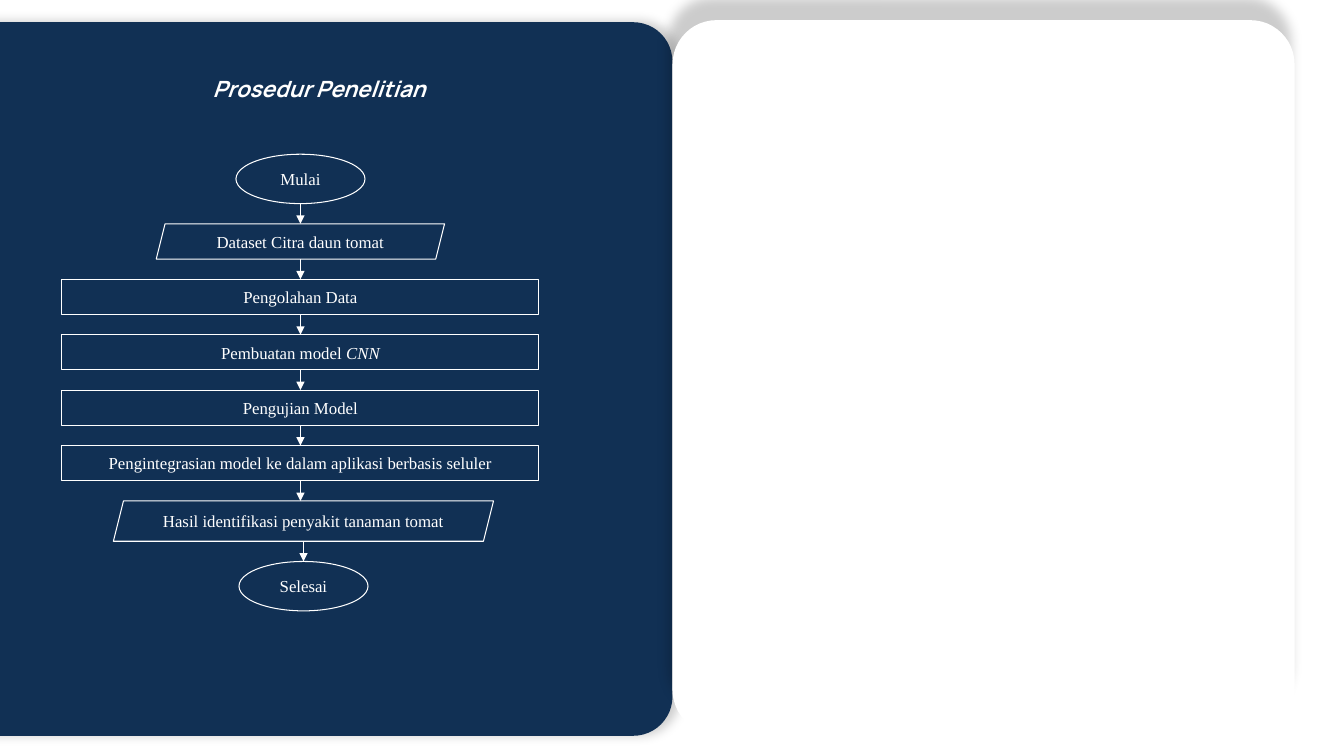
from dataclasses import dataclass
from itertools import pairwise

from lxml.etree import SubElement
from pptx import Presentation
from pptx.dml.color import RGBColor
from pptx.enum.shapes import MSO_CONNECTOR, MSO_SHAPE
from pptx.enum.text import MSO_ANCHOR, PP_ALIGN
from pptx.oxml.ns import qn
from pptx.shapes.autoshape import Shape
from pptx.shapes.connector import Connector
from pptx.slide import Slide
from pptx.text.text import TextFrame
from pptx.util import Inches, Pt

NAVY = "113054"
WHITE = "FFFFFF"
FLOW_TOP = 1.53
FLOW_GAP = 0.2
FLOW_CENTER = 2.98
END_CENTER = 3.01
TOP_SITE, BOTTOM_SITE = 0, 2


@dataclass(frozen=True)
class Panel:
    left: float
    top: float
    width: float
    height: float
    corner: float
    fill: str
    shadow_distance: float
    shadow_angle: float


@dataclass(frozen=True)
class Step:
    kind: MSO_SHAPE
    width: float
    height: float
    text: str
    italic_text: str = ""
    center: float = FLOW_CENTER


PANELS = [
    Panel(-0.5, 0.22, 7.17, 7.08, 0.055, NAVY, 5, 0),
    Panel(6.67, 0.2, 6.17, 7.08, 0.071, WHITE, 16, 260),
]

STEPS = [
    Step(MSO_SHAPE.OVAL, 1.28, 0.49, "Mulai"),
    Step(MSO_SHAPE.PARALLELOGRAM, 2.86, 0.35, "Dataset Citra daun tomat"),
    Step(MSO_SHAPE.RECTANGLE, 4.73, 0.35, "Pengolahan Data"),
    Step(MSO_SHAPE.RECTANGLE, 4.73, 0.35, "Pembuatan model ", "CNN"),
    Step(MSO_SHAPE.RECTANGLE, 4.73, 0.35, "Pengujian Model"),
    Step(MSO_SHAPE.RECTANGLE, 4.73, 0.35,
         "Pengintegrasian model ke dalam aplikasi berbasis seluler"),
    Step(MSO_SHAPE.PARALLELOGRAM, 3.77, 0.4,
         "Hasil identifikasi penyakit tanaman tomat", center=END_CENTER),
    Step(MSO_SHAPE.OVAL, 1.28, 0.49, "Selesai", center=END_CENTER),
]


def color(value: str) -> RGBColor:
    return RGBColor.from_string(value)


def add_run(frame: TextFrame, text: str, font: str, size: float,
            bold: bool = False, italic: bool = False) -> None:
    """Append a white run to the first, centred paragraph."""
    paragraph = frame.paragraphs[0]
    paragraph.alignment = PP_ALIGN.CENTER
    run = paragraph.add_run()
    run.text = text
    run.font.name = font
    run.font.size = Pt(size)
    run.font.bold = bold
    run.font.italic = italic
    run.font.color.rgb = color(WHITE)


def add_panel(slide: Slide, panel: Panel) -> None:
    shape = slide.shapes.add_shape(
        MSO_SHAPE.ROUNDED_RECTANGLE, Inches(panel.left), Inches(panel.top),
        Inches(panel.width), Inches(panel.height))
    shape.adjustments[0] = panel.corner
    shape.fill.solid()
    shape.fill.fore_color.rgb = color(panel.fill)
    shape.line.fill.background()
    shape.shadow.inherit = False
    effects = shape.element.spPr.find(qn("a:effectLst"))
    shadow = SubElement(
        effects, qn("a:outerShdw"), blurRad=str(Pt(8)),
        dist=str(Pt(panel.shadow_distance)),
        dir=str(round(panel.shadow_angle * 60000)), rotWithShape="0")
    tint = SubElement(shadow, qn("a:srgbClr"), val="000000")
    SubElement(tint, qn("a:alpha"), val="20000")


def add_title(slide: Slide) -> None:
    box = slide.shapes.add_textbox(
        Inches(1.91), Inches(0.7), Inches(2.51), Inches(0.37))
    box.text_frame.word_wrap = False
    add_run(box.text_frame, "Prosedur Penelitian", "Manrope", 16,
            bold=True, italic=True)


def add_step(slide: Slide, step: Step, top: float) -> Shape:
    shape = slide.shapes.add_shape(
        step.kind, Inches(step.center - step.width / 2), Inches(top),
        Inches(step.width), Inches(step.height))
    shape.shadow.inherit = False
    shape.fill.background()
    shape.line.color.rgb = color(WHITE)
    shape.line.width = Pt(0.75)
    frame = shape.text_frame
    frame.word_wrap = True
    frame.vertical_anchor = MSO_ANCHOR.MIDDLE
    add_run(frame, step.text, "Times New Roman", 12)
    if step.italic_text:
        add_run(frame, step.italic_text, "Times New Roman", 12, italic=True)
    return shape


def add_arrow(slide: Slide, upper: Shape, lower: Shape) -> Connector:
    """Point straight down from one step to the next."""
    x = upper.left + upper.width // 2
    arrow = slide.shapes.add_connector(
        MSO_CONNECTOR.STRAIGHT, x, upper.top + upper.height, x, lower.top)
    if upper.auto_shape_type == MSO_SHAPE.RECTANGLE:
        arrow.begin_connect(upper, BOTTOM_SITE)
    if lower.auto_shape_type == MSO_SHAPE.RECTANGLE:
        arrow.end_connect(lower, TOP_SITE)
    arrow.line.color.rgb = color(WHITE)
    arrow.line.width = Pt(0.5)
    properties = arrow.element.spPr
    SubElement(properties.find(qn("a:ln")), qn("a:tailEnd"), type="triangle")
    SubElement(properties, qn("a:effectLst"))
    return arrow


def add_flowchart(slide: Slide) -> None:
    shapes = []
    top = FLOW_TOP
    for step in STEPS:
        shapes.append(add_step(slide, step, top))
        top += step.height + FLOW_GAP
    for upper, lower in pairwise(shapes):
        add_arrow(slide, upper, lower)


def main() -> None:
    presentation = Presentation()
    presentation.slide_width = Inches(13.33)
    presentation.slide_height = Inches(7.5)
    slide = presentation.slides.add_slide(presentation.slide_layouts[6])
    for panel in PANELS:
        add_panel(slide, panel)
    add_title(slide)
    add_flowchart(slide)
    presentation.save("out.pptx")


if __name__ == "__main__":
    main()
